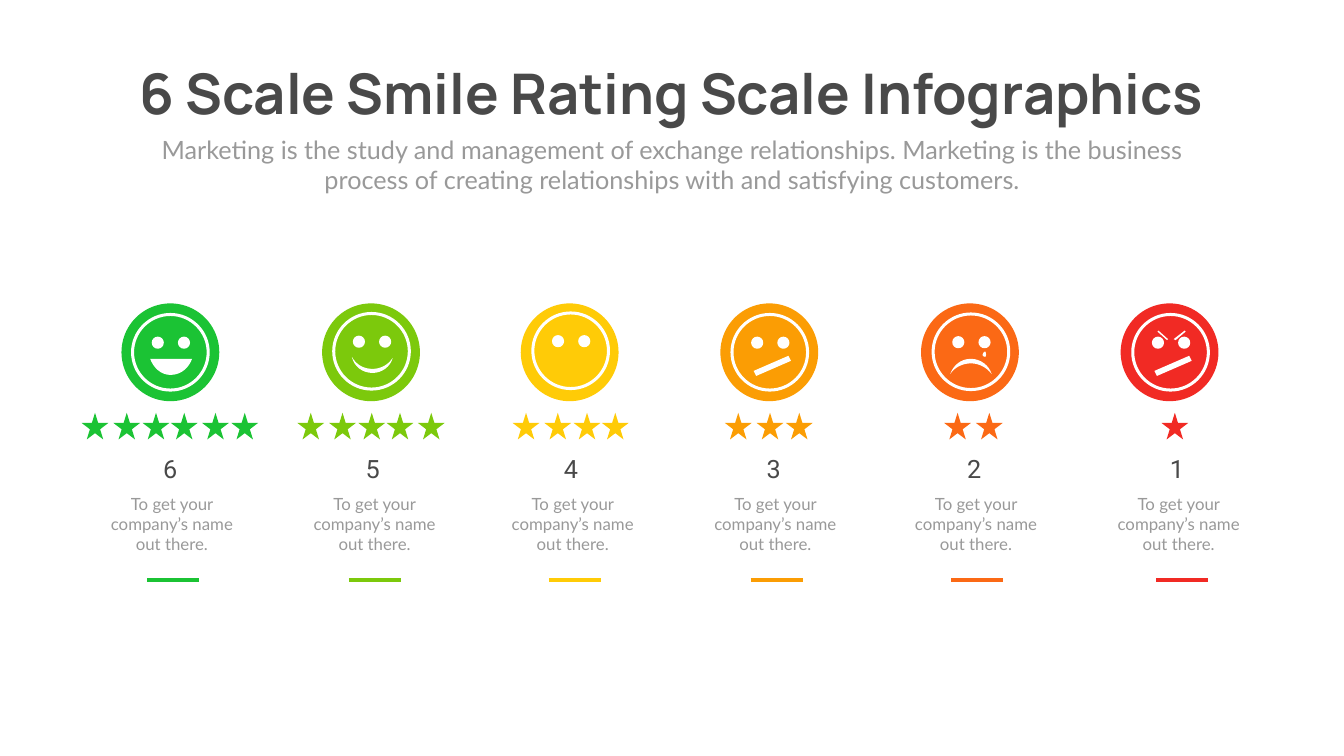
from dataclasses import dataclass

from lxml.etree import SubElement
from pptx import Presentation
from pptx.dml.color import RGBColor as Rgb
from pptx.enum.shapes import MSO_CONNECTOR as Link, MSO_SHAPE as Kind
from pptx.enum.text import MSO_AUTO_SIZE as Fit, PP_ALIGN as Align
from pptx.oxml.ns import qn
from pptx.util import Inches, Pt


@dataclass(frozen=True)
class Theme:
    dark: str = "494949"
    grey: str = "999999"
    white: str = "FFFFFF"
    green: str = "1BC334"
    lime: str = "7CC90C"
    yellow: str = "FFCB07"
    amber: str = "FB9D04"
    orange: str = "FB6915"
    red: str = "F12A24"
    title: int = 80
    large: int = 36
    small: int = 24
    rule: int = 6


@dataclass(frozen=True)
class Rating:
    score: int
    color: str
    disc: float
    face: tuple
    star: float
    label: float
    rule: float
    marks: list


THEME = Theme()
TITLE = {"name": "Manrope", "size": Pt(THEME.title), "bold": True}
LEAD = {"name": "Lato", "size": Pt(THEME.large)}
SCORE = {"name": "Roboto", "size": Pt(THEME.large)}
NOTE = {"name": "Lato", "size": Pt(THEME.small)}
STEPS = (0, 0.63, 1.21, 1.77, 2.39, 2.97)


def ring(x, y, size):
    bend = 0.55
    knots = [(1, 0), (1, bend), (bend, 1), (0, 1), (-bend, 1), (-1, bend),
             (-1, 0), (-1, -bend), (-bend, -1), (0, -1), (bend, -1),
             (1, -bend), (1, 0)]
    return [(x + size * a, y + size * b) for a, b in knots]


def edges(*ends):
    knots = [ends[0]]
    for start, end in zip(ends, ends[1:]):
        knots += [start, end, end]
    return knots


GRIN = [(0.43, 0.13), (0.37, 0.3), (0.22, 0.45), (0, 0.45),
        (-0.19, 0.45), (-0.34, 0.3), (-0.4, 0.13)]
SMILE = [(0.42, 0.13), (0.38, 0.3), (0.21, 0.43), (0.02, 0.43),
         (-0.18, 0.43), (-0.35, 0.3), (-0.39, 0.11),
         (-0.31, 0.26), (-0.16, 0.35), (0.02, 0.35),
         (0.19, 0.35), (0.34, 0.26), (0.42, 0.13)]
FROWN = [(0.41, 0.44), (0.32, 0.32), (0.17, 0.23), (0, 0.23),
         (-0.18, 0.23), (-0.33, 0.32), (-0.41, 0.44),
         (-0.35, 0.27), (-0.2, 0.14), (0, 0.14),
         (0.19, 0.14), (0.36, 0.27), (0.41, 0.44)]
TEAR = [(0.28, -0.01), (0.3, -0.01), (0.3, 0.06), (0.3, 0.06),
        (0.3, 0.08), (0.3, 0.1), (0.28, 0.1),
        (0.25, 0.1), (0.23, 0.08), (0.23, 0.06),
        (0.23, 0.06), (0.25, -0.01), (0.28, -0.01)]
SLASH = edges((0.37, 0.07), (0.42, 0.17), (-0.27, 0.47), (-0.32, 0.37))
BROWS = [edges((0.1, -0.24), (0.06, -0.26), (0.28, -0.43), (0.3, -0.41)),
         edges((-0.07, -0.24), (-0.26, -0.41), (-0.24, -0.43), (-0.05, -0.26))]
BASE = [ring(0, 0, 0.78), ring(0, 0, 0.72),
        ring(-0.25, -0.19, 0.12), ring(0.27, -0.19, 0.12)]

RATINGS = [
    Rating(6, THEME.green, 2.41, (3.38, 6.99), 1.62, 2.37, 2.92, [GRIN]),
    Rating(5, THEME.lime, 6.39, (7.37, 6.97), 5.9, 6.39, 6.92, [SMILE]),
    Rating(4, THEME.yellow, 10.33, (11.32, 6.96), 10.17, 10.32, 10.89, []),
    Rating(3, THEME.amber, 14.29, (15.27, 6.99), 14.38, 14.34, 14.89, [SLASH]),
    Rating(2, THEME.orange, 18.27, (19.26, 6.98), 18.73, 18.32, 18.87,
           [FROWN, TEAR]),
    Rating(1, THEME.red, 22.23, (23.22, 6.99), 23.04, 22.34, 22.94,
           [SLASH, *BROWS]),
]


def paint(shape, color):
    shape.shadow.inherit = False
    shape.fill.solid()
    shape.fill.fore_color.rgb = Rgb.from_string(color)
    shape.line.fill.background()


def add_mark(slide, kind, left, top, size, color):
    box = map(Inches, (left, top, size, size))
    paint(slide.shapes.add_shape(kind, *box), color)


def bend_lines(shape):
    lines = list(shape._element.iter(qn("a:lnTo")))
    for first, second, third in zip(lines[::3], lines[1::3], lines[2::3]):
        first.tag = qn("a:cubicBezTo")
        for line in (second, third):
            first.append(line[0])
            line.getparent().remove(line)


def add_face(slide, center, marks):
    paths = [[(Inches(center[0] + x), Inches(center[1] + y)) for x, y in mark]
             for mark in BASE + marks]
    pen = slide.shapes.build_freeform(*paths[0][0])
    pen.add_line_segments(paths[0][1:])
    for path in paths[1:]:
        pen.move_to(*path[0])
        pen.add_line_segments(path[1:])
    face = pen.convert_to_shape()
    bend_lines(face)
    paint(face, THEME.white)


def add_text(slide, box, text, style, color, wrap=True):
    frame = slide.shapes.add_textbox(*map(Inches, box)).text_frame
    form = {"word_wrap": wrap, "auto_size": Fit.SHAPE_TO_FIT_TEXT}
    for key, value in form.items():
        setattr(frame, key, value)
    para = frame.paragraphs[0]
    para.alignment = Align.CENTER
    run = para.add_run()
    run.text = text
    for key, value in style.items():
        setattr(run.font, key, value)
    run.font.color.rgb = Rgb.from_string(color)


def add_rule(slide, left, top, width, color):
    ends = map(Inches, (left, top, left + width, top))
    rule = slide.shapes.add_connector(Link.STRAIGHT, *ends)
    rule.line.width = Pt(THEME.rule)
    rule.line.color.rgb = Rgb.from_string(color)
    SubElement(rule._element.spPr, qn("a:effectLst"))


def add_rating(slide, item):
    add_mark(slide, Kind.OVAL, item.disc, 6.02, 1.94, item.color)
    add_face(slide, item.face, item.marks)
    for step in STEPS[:item.score]:
        add_mark(slide, Kind.STAR_5_POINT, item.star + step, 8.19, 0.53,
                 item.color)
    add_text(slide, (item.label, 8.95, 2.01, 0.71), str(item.score),
             SCORE, THEME.dark)
    add_text(slide, (item.label - 0.31, 9.74, 2.7, 1.31),
             "To get your company’s name out there.", NOTE, THEME.grey)
    add_rule(slide, item.rule, 11.51, 1.03, item.color)


def main():
    deck = Presentation()
    deck.slide_width, deck.slide_height = Inches(26.66), Inches(15)
    slide = deck.slides.add_slide(deck.slide_layouts[6])
    add_text(slide, (1.92, 1.12, 22.81, 1.45),
             "6 Scale Smile Rating Scale Infographics",
             TITLE, THEME.dark, wrap=False)
    add_text(slide, (2.92, 2.61, 20.82, 1.31),
             "Marketing is the study and management of exchange relationships. "
             "Marketing is the business process of creating relationships with "
             "and satisfying customers.", LEAD, THEME.grey)
    for item in RATINGS:
        add_rating(slide, item)
    deck.save("out.pptx")


if __name__ == "__main__":
    main()
